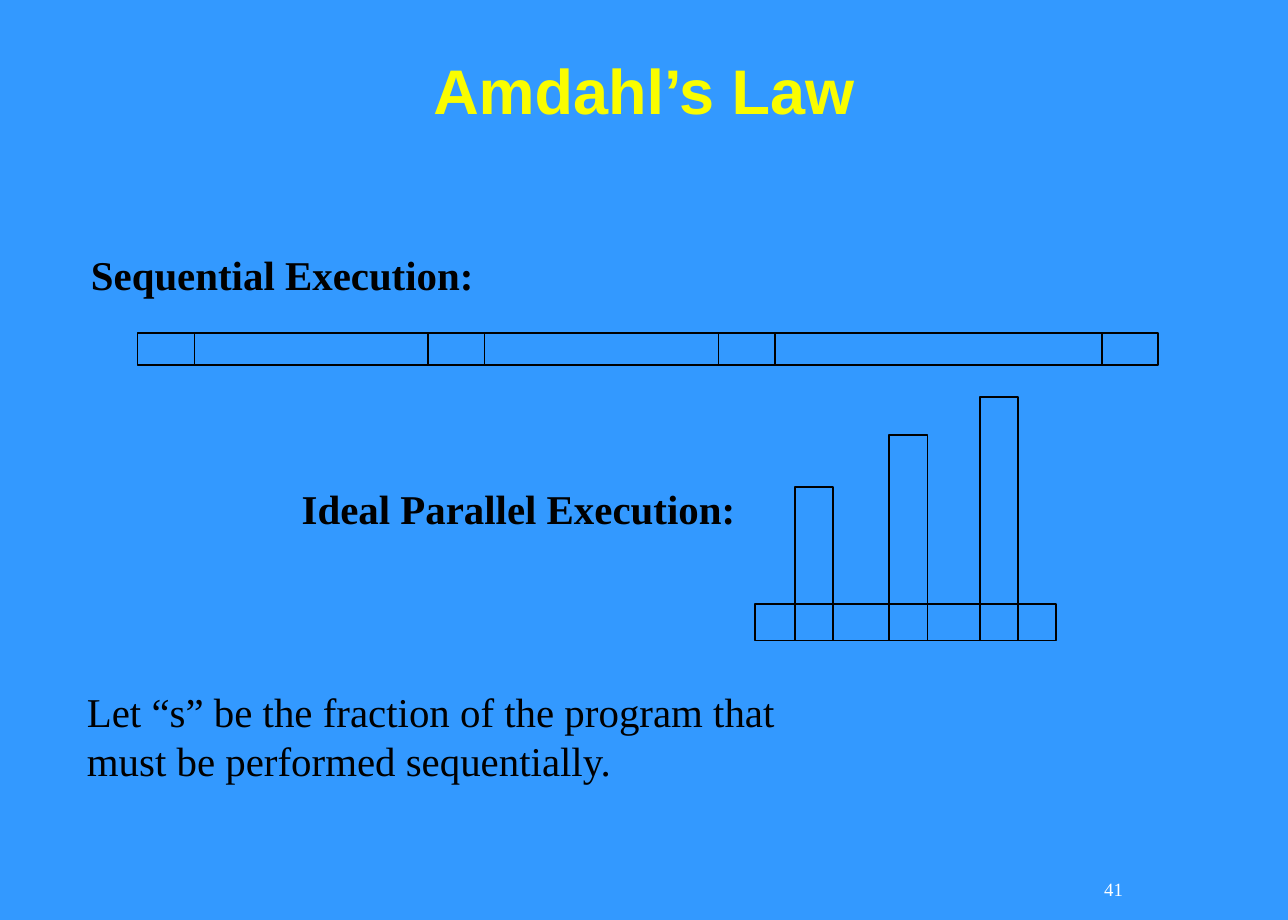
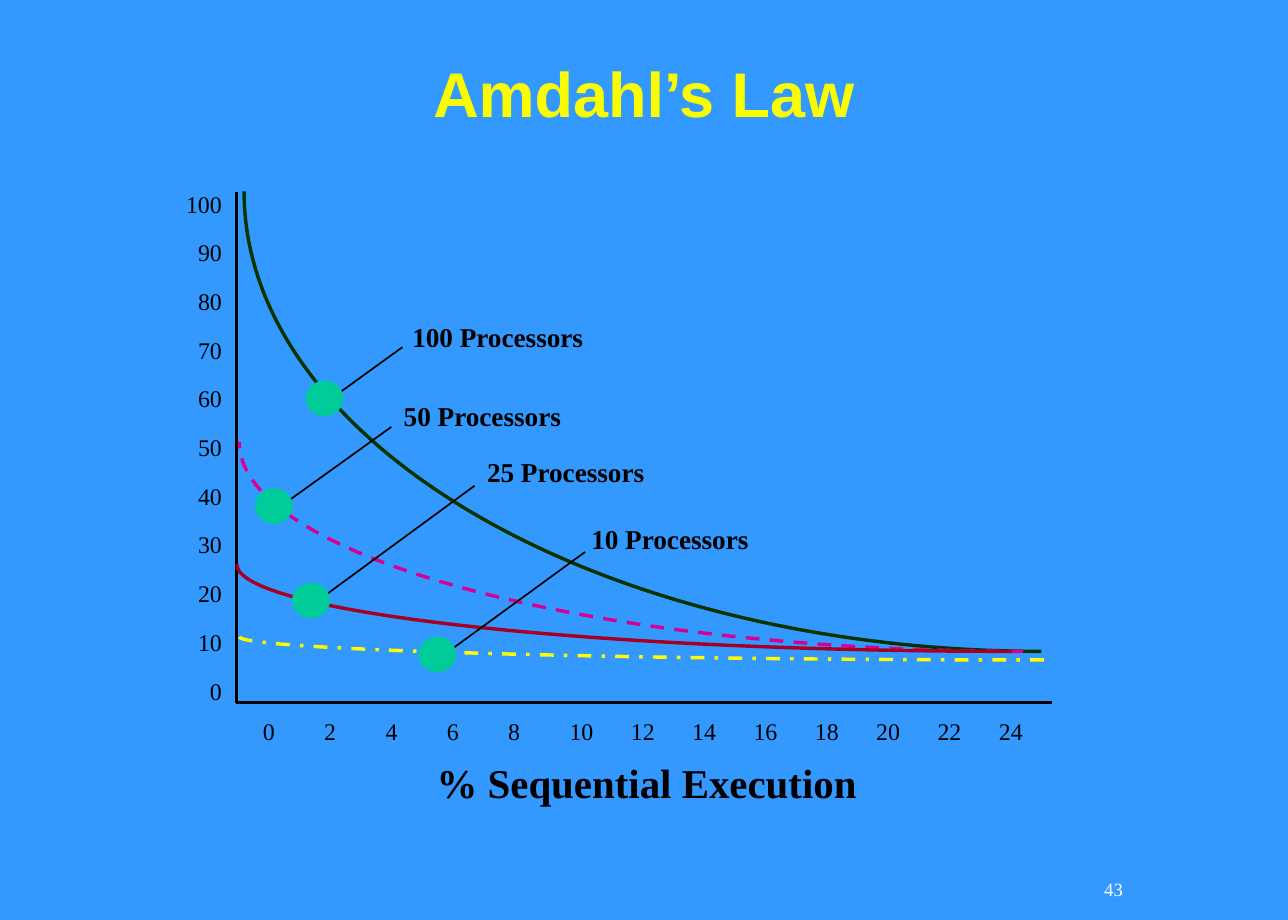
from lxml import etree
from pptx import Presentation
from pptx.dml.color import RGBColor
from pptx.enum import dml, shapes, text
from pptx.oxml.ns import qn
from pptx.util import Pt

hue = RGBColor.from_string
BLUE, BLACK, WHITE, GOLD, GREEN = "3399FF", "000000", "FFFFFF", "FAFD00", "00CC99"
LEFT, CENTER, RIGHT = text.PP_ALIGN.LEFT, text.PP_ALIGN.CENTER, text.PP_ALIGN.RIGHT
RECT, OVAL = shapes.MSO_SHAPE.RECTANGLE, shapes.MSO_SHAPE.OVAL
SOLID, DASH, DOT = (dml.MSO_LINE.SOLID, dml.MSO_LINE.DASH,
                    dml.MSO_LINE.DASH_DOT)


def write(slide, words, box, size, bold=False, align=LEFT, color=BLACK):
    """Add a text box and return its paragraphs."""
    frame = slide.shapes.add_textbox(*map(Pt, box)).text_frame
    frame.word_wrap = True
    frame.text = words
    for para in frame.paragraphs:
        para.alignment = align
        font = para.runs[0].font
        font.name, font.size, font.bold = "Times New Roman", Pt(size), bold
        font.color.rgb = hue(color)
    return frame.paragraphs


def rule(slide, x1, y1, x2, y2, width=1):
    """Draw a straight black line."""
    line = slide.shapes.add_connector(
        shapes.MSO_CONNECTOR.STRAIGHT, Pt(x1), Pt(y1), Pt(x2), Pt(y2))
    line.line.color.rgb = hue(BLACK)
    line.line.width = Pt(width)
    etree.SubElement(line._element.spPr, qn("a:effectLst"))


deck = Presentation()
deck.slide_width, deck.slide_height = Pt(756), Pt(540)
back = deck.slide_master.background.fill
back.solid()
back.fore_color.rgb = hue(BLUE)

# Title and page number on both slides
pages = []
for number, left, top, width in (("41", 16.9, 10.3, 722), ("43", 56.9, 12, 642)):
    page = deck.slides.add_slide(deck.slide_layouts[5])
    title = page.shapes.title
    title.left, title.top, title.width, title.height = map(Pt, (left, top, width, 90))
    title.text_frame.text = "Amdahl’s Law"
    title.text_frame.vertical_anchor = text.MSO_ANCHOR.MIDDLE
    head = title.text_frame.paragraphs[0]
    head.alignment, head.line_spacing = CENTER, 0.9
    font = head.runs[0].font
    font.name, font.size, font.bold = "Arial", Pt(37), True
    font.color.rgb = hue(GOLD)
    write(page, number, (582.2, 511.6, 84, 20.6), 11, align=RIGHT, color=WHITE)
    pages.append(page)
bars, graph = pages

# Slide 1: sequential and parallel execution
write(bars, "Sequential Execution:", (46.3, 143, 250, 36), 24, True)
write(bars, "Ideal Parallel Execution:", (170, 280.3, 280, 36), 24, True)
write(bars, "Let “s” be the fraction of the program that must be performed "
      "sequentially.", (43.9, 399.6, 430, 64.8), 24)

start, top, base, serial = 80.8, 195.6, 376, 33.3
boxes = [(start, top, 599, 18.8), (443, 354.5, 177, base - 354.5)]
boxes += [(x, y, 22.4, base - y)
          for x, y in ((466.7, 285.7), (522, 255.5), (575.3, 233.2))]
for box in boxes:
    bar = bars.shapes.add_shape(RECT, *map(Pt, box))
    bar.shadow.inherit = False
    bar.fill.background()
    bar.line.color.rgb = hue(BLACK)
    bar.line.width = Pt(1)

edge = start
for gap in (137, 137.4, 191.6):
    for step in (serial, gap):
        edge += step
        rule(bars, edge, top, edge, top + 18.8)

# Slide 2: axes and their labels
rule(graph, 138.7, 112.5, 138.7, 412.5, 2)
rule(graph, 138.7, 412.5, 617.2, 412.5, 2)
ticks = write(graph, "\t".join(str(n) for n in range(0, 25, 2)),
              (147.2, 417.2, 470, 24), 14)
tabs = etree.SubElement(ticks[0]._p.get_or_add_pPr(), qn("a:tabLst"))
for n in range(1, 13):
    etree.SubElement(tabs, qn("a:tab"), pos=str(Pt(36 * n)), algn="l")
for label in write(graph, "\n".join(str(n) for n in range(100, -1, -10)),
                   (97.3, 110.2, 40, 307.4), 14, align=RIGHT):
    label.line_spacing, label.space_after = 0.85, Pt(14.3)
write(graph, "% Sequential Execution", (140.2, 441.4, 478.8, 36), 24, True, CENTER)

# Each curve is the lower left quarter of an ellipse, drawn as one Bezier
for left, top, right, low, color, dash in (
        (143.3, 112.3, 611.3, 382.3, "003300", SOLID),
        (140.4, 259.2, 600.5, 382.3, "D60093", DASH),
        (139, 331.2, 594, 382.3, "A50021", SOLID),
        (140.4, 373.7, 612.7, 387.4, "FFFF00", DOT)):
    draft = graph.shapes.build_freeform(Pt(right), Pt(low))
    draft.add_line_segments([(Pt(left), Pt(top))], close=False)
    curve = draft.convert_to_shape()
    line = next(curve._element.iter(qn("a:lnTo")))
    bend = etree.Element(qn("a:cubicBezTo"))
    wide, high = curve.width, curve.height
    for x, y in ((0.45 * wide, high), (0, 0.55 * high), (0, 0)):
        etree.SubElement(bend, qn("a:pt"), x=str(round(x)), y=str(round(y)))
    line.getparent().replace(line, bend)
    curve.shadow.inherit = False
    curve.fill.background()
    curve.line.color.rgb = hue(color)
    curve.line.width = Pt(2)
    curve.line.dash_style = dash

# Callouts: dot, line end, label
for count, dot, end, spot in (
        (100, (179.3, 223.4), (236.2, 203.8), (234.9, 184.3)),
        (50, (149.6, 286.6), (229.7, 250.6), (229.9, 231.1)),
        (25, (171.4, 342), (278.6, 285.1), (278.8, 263.5)),
        (10, (245.5, 373.7), (343.4, 324), (340, 303.1))):
    rule(graph, dot[0] + 16, dot[1] + 10, *end)
    mark = graph.shapes.add_shape(OVAL, *map(Pt, (*dot, 22.3, 20.9)))
    mark.shadow.inherit = False
    mark.fill.solid()
    mark.fill.fore_color.rgb = hue(GREEN)
    mark.line.fill.background()
    write(graph, f"{count} Processors", (*spot, 120, 26.6), 16, True)

deck.save("out.pptx")
